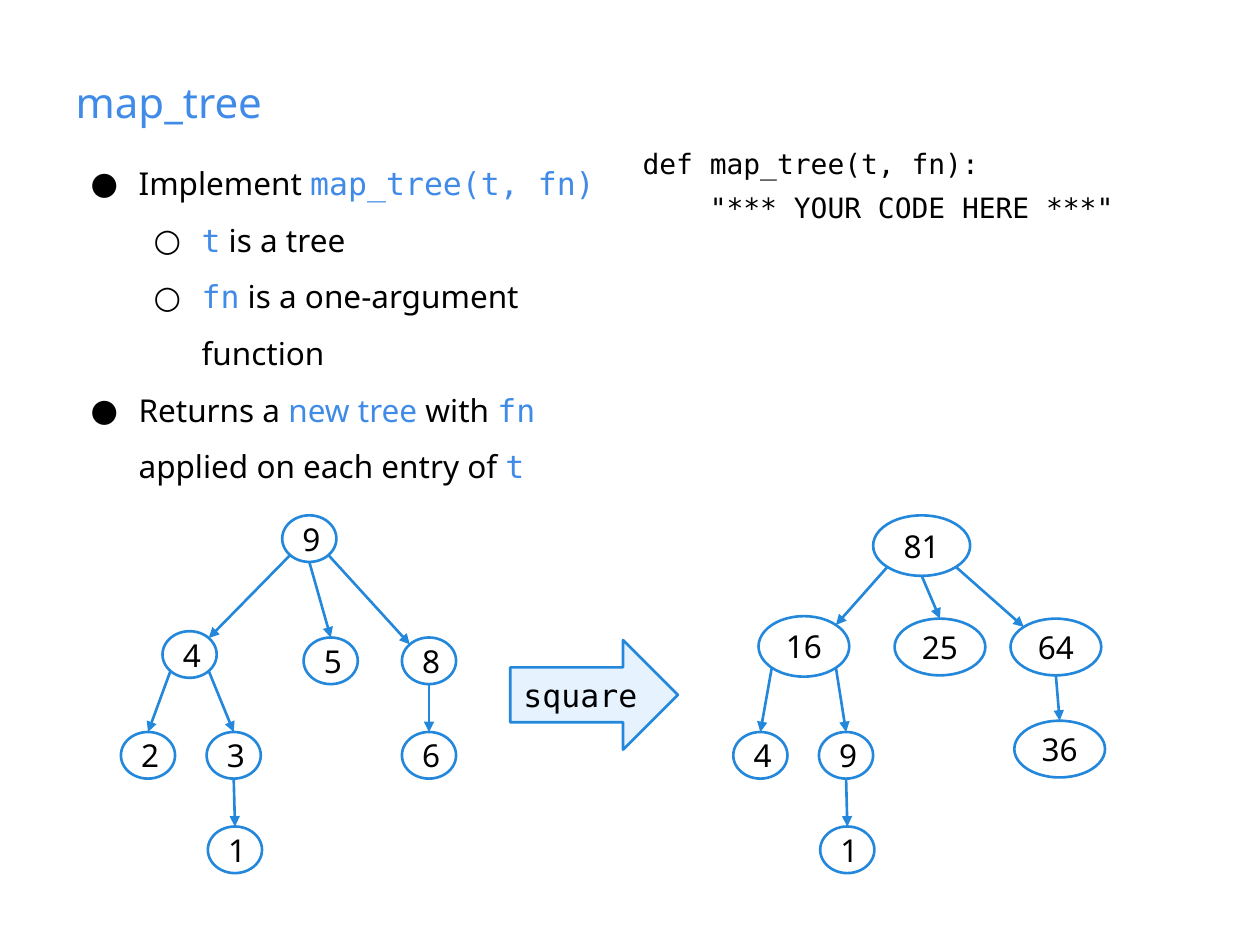
from dataclasses import dataclass
from math import sqrt

from lxml.etree import SubElement
from pptx import Presentation
from pptx.dml.color import RGBColor
from pptx.enum.shapes import MSO_CONNECTOR, MSO_SHAPE
from pptx.enum.text import MSO_ANCHOR, MSO_AUTO_SIZE, PP_ALIGN
from pptx.oxml.ns import qn
from pptx.util import Inches, Pt


@dataclass(frozen=True)
class Theme:
    black: RGBColor = RGBColor(0x00, 0x00, 0x00)
    accent: RGBColor = RGBColor(0x41, 0x8B, 0xE8)
    outline: RGBColor = RGBColor(0x23, 0x88, 0xDB)
    arrow_fill: RGBColor = RGBColor(0xE6, 0xF3, 0xFF)
    sans: str = "Noto Sans"
    mono: str = "DejaVu Sans Mono"
    title: Pt = Pt(24)
    body: Pt = Pt(18)
    code: Pt = Pt(16)
    stroke: Pt = Pt(1.5)


THEME = Theme()

# Run styles of the list: font and colour
PLAIN = (THEME.sans, THEME.black)
TERM = (THEME.sans, THEME.accent)
CODE = (THEME.mono, THEME.accent)

BULLETS = [
    (0, [("Implement ", PLAIN), ("map_tree(t, fn)", CODE)]),
    (1, [("t", CODE), (" is a tree", PLAIN)]),
    (1, [("fn", CODE), (" is a one-argument function", PLAIN)]),
    (0, [("Returns a ", PLAIN), ("new tree", TERM), (" with ", PLAIN), ("fn", CODE),
         (" applied on each entry of ", PLAIN), ("t", CODE)]),
]
CODE_LINES = ["def map_tree(t, fn):", '    "*** YOUR CODE HERE ***"']

# Nodes: value, left and top within the tree, size
SMALL, WIDE, TALL, ROOT = (0.43, 0.37), (0.72, 0.45), (0.72, 0.48), (0.77, 0.48)
INPUT_TREE = [
    ("9", 1.28, 0, SMALL), ("4", 0.33, 0.92, SMALL), ("5", 1.45, 0.97, SMALL),
    ("8", 2.23, 0.97, SMALL), ("2", 0, 1.72, SMALL), ("3", 0.68, 1.72, SMALL),
    ("6", 2.23, 1.72, SMALL), ("1", 0.69, 2.47, SMALL),
]
SQUARED_TREE = [
    ("81", 1.11, 0, ROOT), ("16", 0.2, 0.8, TALL), ("25", 1.28, 0.82, WIDE),
    ("64", 2.2, 0.82, WIDE), ("4", 0, 1.72, SMALL), ("9", 0.68, 1.72, SMALL),
    ("36", 2.23, 1.63, WIDE), ("1", 0.69, 2.47, SMALL),
]

# Where an edge meets an ellipse, from its centre in half-widths and half-heights
D = 1 / sqrt(2)
TOP, BOTTOM = (0, -1), (0, 1)
TOP_LEFT, TOP_RIGHT, BOTTOM_LEFT, BOTTOM_RIGHT = (-D, -D), (D, -D), (-D, D), (D, D)

# Both trees share their edges: parent, child, start site, end site
EDGES = [
    (0, 1, BOTTOM_LEFT, TOP_RIGHT), (0, 2, BOTTOM, TOP), (0, 3, BOTTOM_RIGHT, TOP_LEFT),
    (1, 4, BOTTOM_LEFT, TOP), (1, 5, BOTTOM_RIGHT, TOP),
    (3, 6, BOTTOM, TOP), (5, 7, BOTTOM, TOP),
]


def style(font, name, size=None, color=THEME.black):
    font.name = name
    font.color.rgb = color
    if size is not None:
        font.size = size


def place(shape, box, anchor=MSO_ANCHOR.TOP):
    shape.left, shape.top, shape.width, shape.height = map(Inches, box)
    set_frame(shape.text_frame, anchor)


def set_frame(frame, anchor):
    frame.word_wrap = True
    frame.auto_size = MSO_AUTO_SIZE.NONE
    frame.vertical_anchor = anchor
    frame.margin_left = frame.margin_right = Inches(0.1)
    frame.margin_top = frame.margin_bottom = Inches(0.1)


def set_bullet(paragraph, level):
    properties = paragraph._p.get_or_add_pPr()
    properties.set("marL", str(Inches(0.5 * (level + 1))))
    properties.set("indent", str(-Inches(0.38)))
    color = SubElement(properties, qn("a:buClr"))
    SubElement(color, qn("a:srgbClr"), val=str(THEME.black))
    SubElement(properties, qn("a:buFont"), typeface=THEME.sans)
    SubElement(properties, qn("a:buChar"), char="●○"[level])


def paragraphs(frame, count):
    return [frame.paragraphs[0]] + [frame.add_paragraph() for _ in range(count - 1)]


def fill_title(title, box):
    place(title, box, MSO_ANCHOR.BOTTOM)
    title.text_frame.text = "map_tree"
    heading = title.text_frame.paragraphs[0]
    heading.alignment = PP_ALIGN.LEFT
    style(heading.font, THEME.sans, THEME.title, THEME.accent)


def fill_description(body, box):
    place(body, box)
    for item, (level, runs) in zip(paragraphs(body.text_frame, len(BULLETS)), BULLETS):
        item.level = level
        item.line_spacing = 1.5
        item.space_before = Pt(0)
        set_bullet(item, level)
        item.font.size = THEME.body
        for text, (name, color) in runs:
            run = item.add_run()
            run.text = text
            style(run.font, name, color=color)


def fill_code(body, box):
    place(body, box)
    lines = paragraphs(body.text_frame, len(CODE_LINES))
    for number, (line, text) in enumerate(zip(lines, CODE_LINES)):
        line.text = text
        line.space_before = Pt(6 if number else 0)
        properties = line._p.get_or_add_pPr()
        properties.set("marL", "0")
        properties.set("indent", "0")
        SubElement(properties, qn("a:buNone"))
        style(line.font, THEME.mono, THEME.code)


def add_label(shapes, preset, box, text, font_name):
    outline = shapes.add_shape(preset, *map(Inches, box))
    outline.shadow.inherit = False
    outline.fill.background()
    outline.line.color.rgb = THEME.outline
    outline.line.width = THEME.stroke
    set_frame(outline.text_frame, MSO_ANCHOR.MIDDLE)
    outline.text_frame.text = text
    label = outline.text_frame.paragraphs[0]
    label.alignment = PP_ALIGN.CENTER
    style(label.font, font_name, THEME.body)
    return outline


def add_edge(shapes, start, end):
    edge = shapes.add_connector(MSO_CONNECTOR.STRAIGHT, *map(Inches, start + end))
    edge.line.color.rgb = THEME.outline
    edge.line.width = THEME.stroke
    SubElement(edge.line._get_or_add_ln(), qn("a:tailEnd"), type="triangle")
    SubElement(edge._element.spPr, qn("a:effectLst"))


def site(node, direction):
    left, top, width, height = node
    return (left + width / 2 * (1 + direction[0]), top + height / 2 * (1 + direction[1]))


def add_tree(shapes, left, top, nodes):
    boxes = [(left + x, top + y, *size) for _, x, y, size in nodes]
    for (value, *_), box in zip(nodes, boxes):
        add_label(shapes, MSO_SHAPE.OVAL, box, value, THEME.sans)
    for parent, child, leave, arrive in EDGES:
        add_edge(shapes, site(boxes[parent], leave), site(boxes[child], arrive))


def add_square_arrow(shapes, box):
    arrow = add_label(shapes, MSO_SHAPE.RIGHT_ARROW, box, "square", THEME.mono)
    arrow.fill.solid()
    arrow.fill.fore_color.rgb = THEME.arrow_fill


def main():
    deck = Presentation()
    deck.slide_width, deck.slide_height = Inches(10), Inches(7.5)
    slide = deck.slides.add_slide(deck.slide_layouts.get_by_name("Two Content"))
    title, description, code = list(slide.placeholders)[:3]

    # Title, description and code
    fill_title(title, (0.5, 0.24, 9, 0.87))
    fill_description(description, (0.5, 1.05, 4.5, 6.13))
    fill_code(code, (5, 1.06, 4.36, 5.86))

    # Input tree, then the mapping and its result
    add_tree(slide.shapes.add_group_shape().shapes, 0.96, 4.09, INPUT_TREE)
    mapping = slide.shapes.add_group_shape().shapes
    add_square_arrow(mapping, (4.05, 5.08, 1.33, 0.87))
    add_tree(mapping, 5.82, 4.09, SQUARED_TREE)

    deck.save("out.pptx")


if __name__ == "__main__":
    main()
